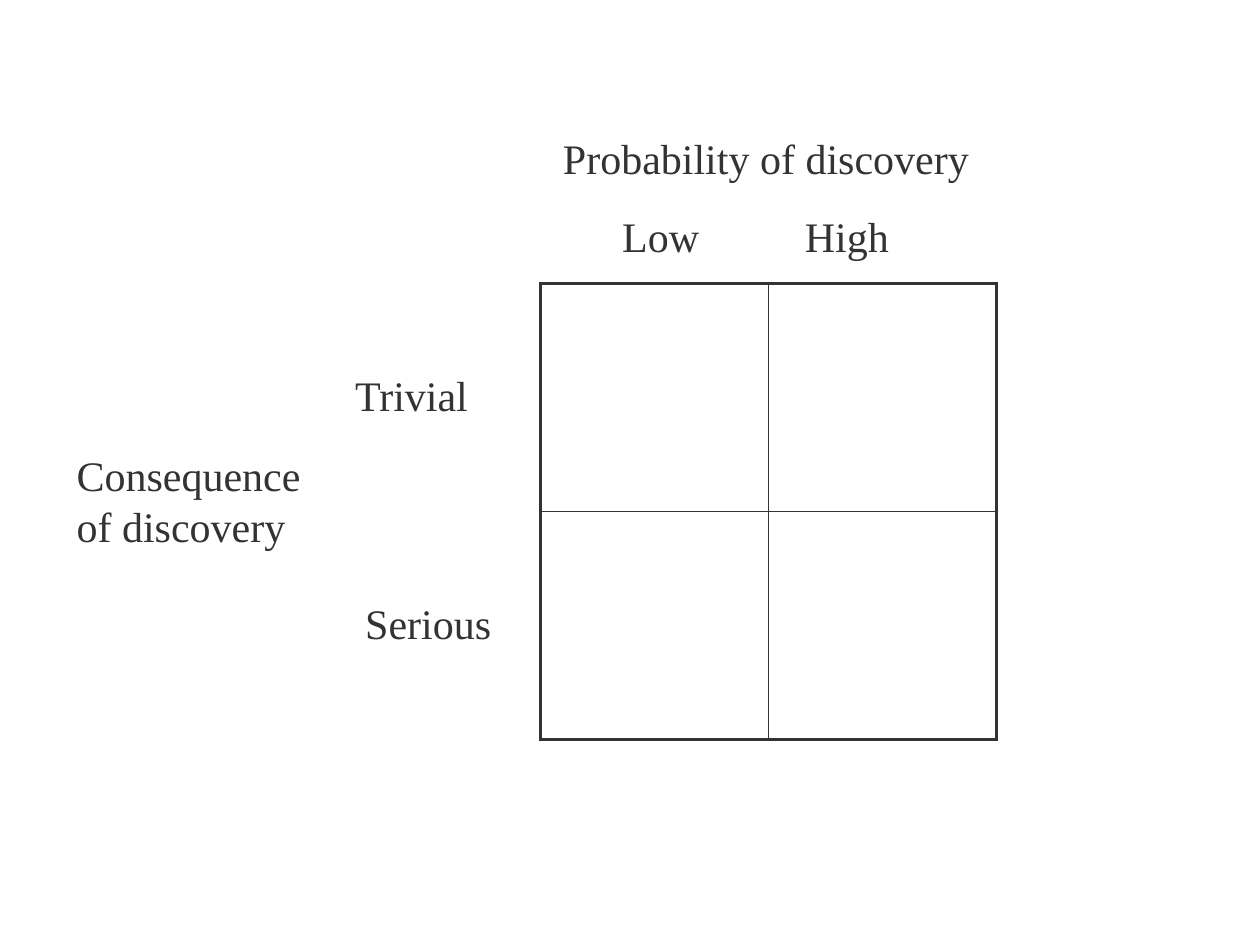
from dataclasses import dataclass
from typing import Optional

from lxml import etree
from pptx import Presentation
from pptx import util as u
from pptx.dml.color import RGBColor
from pptx.enum import shapes, text
from pptx.oxml.ns import qn

COLORS = {"ink": "333333", "background": "FFFFFF"}
FONT = {"name": "Times New Roman", "size": u.Pt(24)}
FRAME = {
    "word_wrap": True,
    "auto_size": text.MSO_AUTO_SIZE.NONE,
    "vertical_anchor": text.MSO_ANCHOR.TOP,
    "margin_left": u.Inches(0.1),
    "margin_right": u.Inches(0.1),
    "margin_top": u.Inches(0.05),
    "margin_bottom": u.Inches(0.05),
}
LEFT, TOP, SIDE = 4.29, 2.25, 3.62


@dataclass
class Label:
    words: str
    left: float
    top: float
    width: float
    height: float = 0.5
    tab: Optional[float] = None


LABELS = [
    Label("Probability of discovery", 4.37, 1, 3.5),
    Label("Consequence\vof discovery", 0.51, 3.52, 2.05, 0.9),
    Label("Low\tHigh", 4.84, 1.62, 2.4, tab=1.45),
    Label("Trivial", 2.72, 2.88, 1.15),
    Label("Serious", 2.8, 4.69, 1.25),
]


def color(name: str) -> RGBColor:
    return RGBColor.from_string(COLORS[name])


def apply(target, values: dict) -> None:
    for name, value in values.items():
        setattr(target, name, value)


def style_line(sp, width: float) -> None:
    sp.line.color.rgb = color("ink")
    sp.line.width = u.Pt(width)


def add_label(s, label: Label) -> None:
    box = (label.left, label.top, label.width, label.height)
    sp = s.shapes.add_textbox(*map(u.Inches, box))
    tf = sp.text_frame
    apply(tf, FRAME)
    p = tf.paragraphs[0]
    p.text = label.words
    p.alignment = text.PP_ALIGN.LEFT
    if label.tab is not None:
        tabs = etree.SubElement(p._p.get_or_add_pPr(), qn("a:tabLst"))
        etree.SubElement(tabs, qn("a:tab"), pos=str(u.Inches(label.tab)), algn="l")
    for r in p.runs:
        apply(r.font, FONT)
        r.font.color.rgb = color("ink")


def add_divider(s, x1: float, y1: float, x2: float, y2: float) -> None:
    ends = map(u.Inches, (x1, y1, x2, y2))
    sp = s.shapes.add_connector(shapes.MSO_CONNECTOR.STRAIGHT, *ends)
    style_line(sp, 0.75)
    etree.SubElement(sp._element.spPr, qn("a:effectLst"))


def add_matrix(s, left: float, top: float, side: float) -> None:
    box = map(u.Inches, (left, top, side, side))
    sp = s.shapes.add_shape(shapes.MSO_SHAPE.RECTANGLE, *box)
    sp.shadow.inherit = False
    sp.fill.background()
    style_line(sp, 2)
    etree.SubElement(sp.line._get_or_add_ln(), qn("a:miter"), lim="800000")
    half = side / 2
    add_divider(s, left, top + half, left + side, top + half)
    add_divider(s, left + half, top, left + half, top + side)


def main() -> None:
    prs = Presentation()
    prs.slide_width, prs.slide_height = u.Inches(10), u.Inches(7.5)
    s = prs.slides.add_slide(prs.slide_layouts[6])
    s.background.fill.solid()
    s.background.fill.fore_color.rgb = color("background")
    add_matrix(s, LEFT, TOP, SIDE)
    for label in LABELS:
        add_label(s, label)
    prs.save("out.pptx")


if __name__ == "__main__":
    main()
